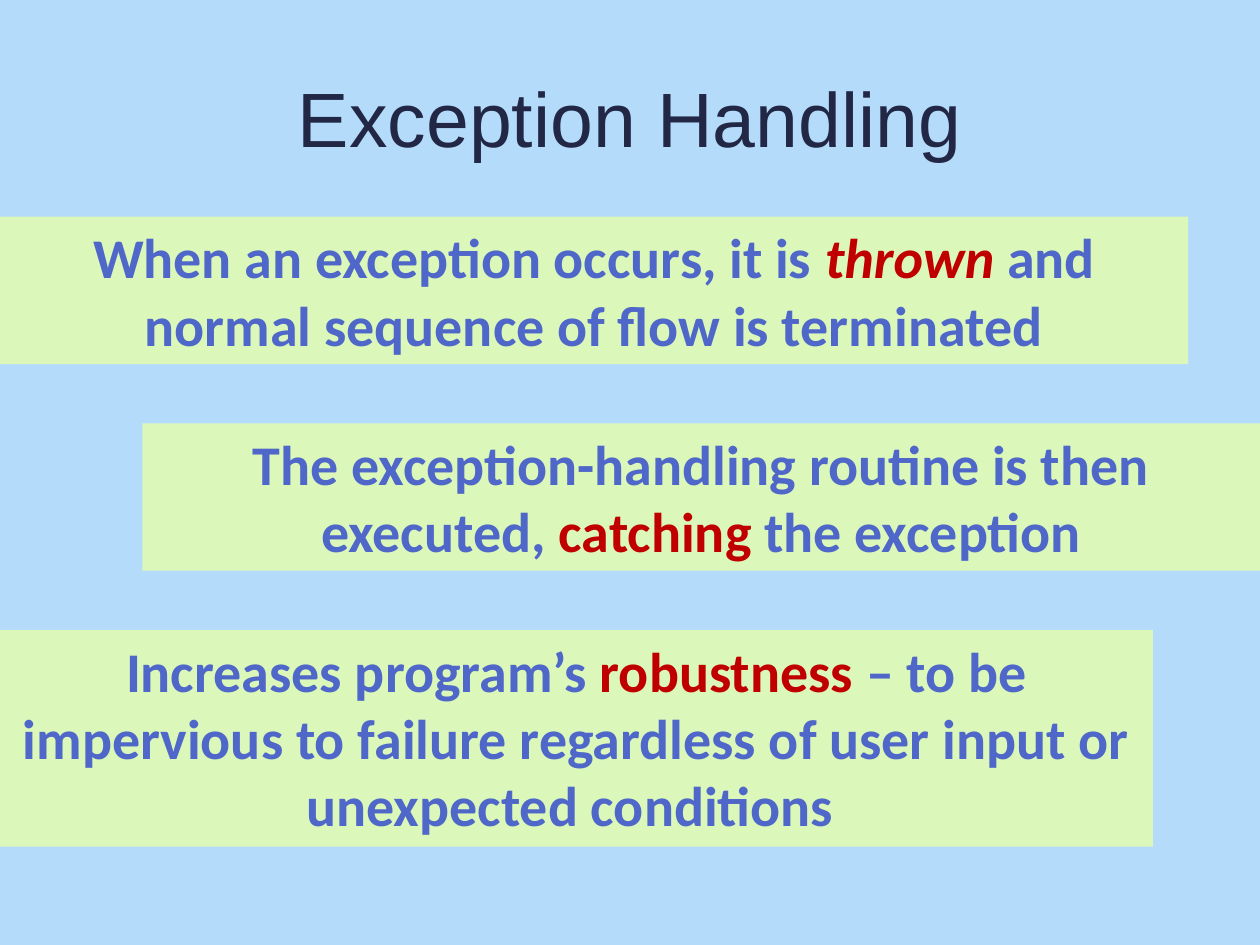
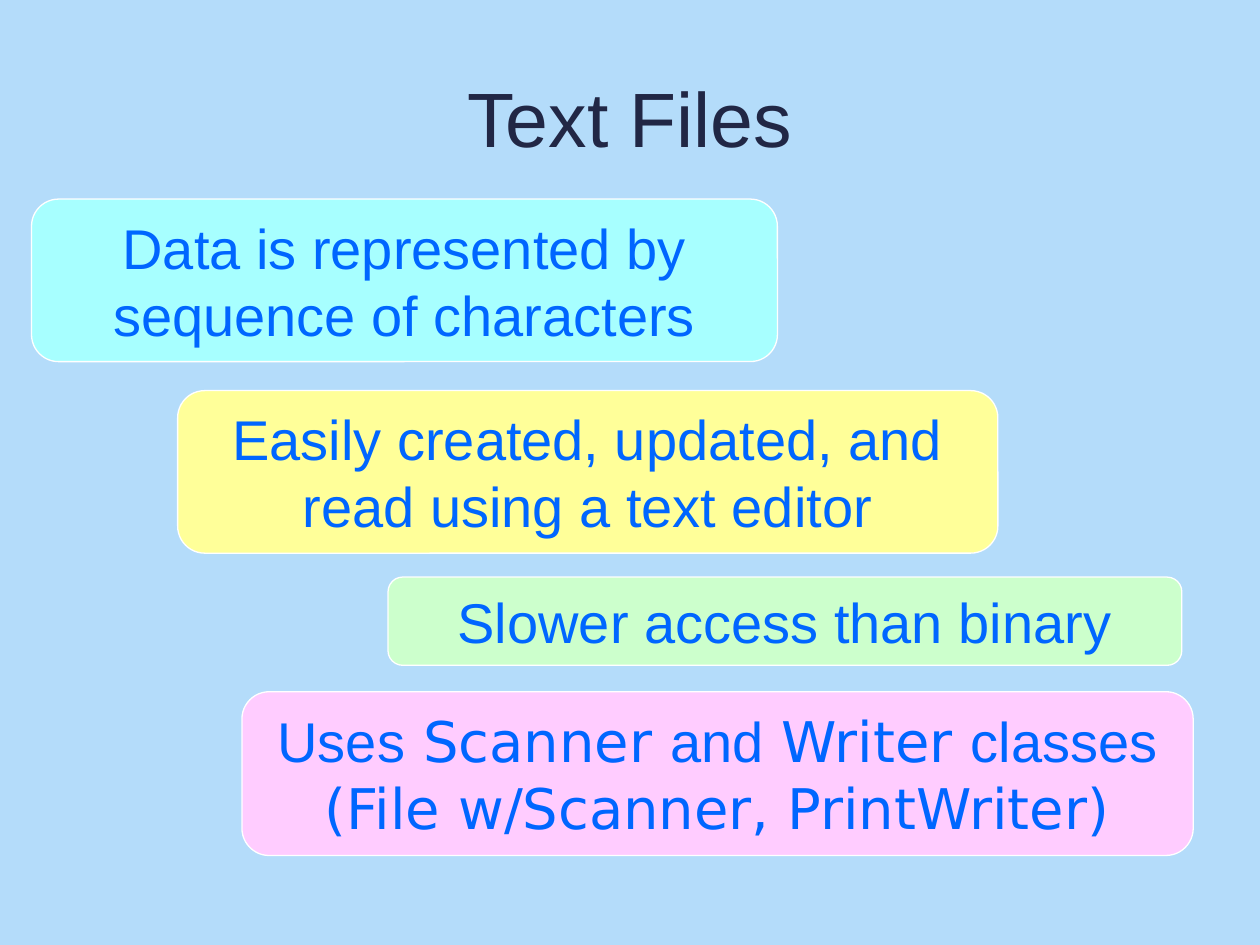
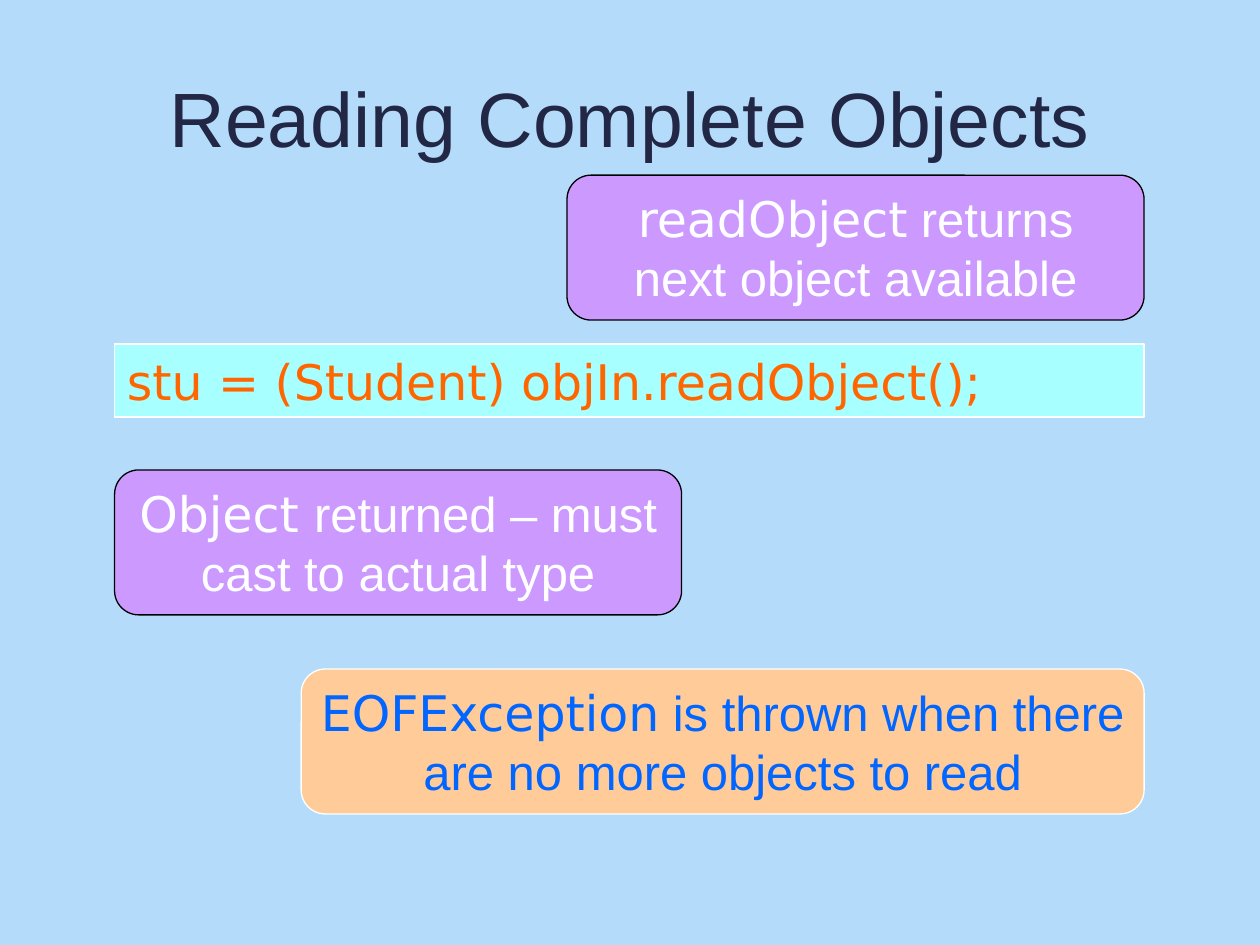
from dataclasses import dataclass

from pptx import Presentation
from pptx import util as u
from pptx.dml import color
from pptx.enum import shapes, text

COLUMNS, ROWS = 10, 7.5
CELL = u.Inches(1)


@dataclass(frozen=True)
class Theme:
    """Colours, fonts and type sizes of the deck."""
    sky: str = "B4DCFA"
    navy: str = "212745"
    indigo: str = "4E67C8"
    red: str = "C00000"
    blue: str = "0066FF"
    orange: str = "FF6600"
    white: str = "FFFFFF"
    black: str = "000000"
    lime: str = "DCF7BA"
    cyan: str = "A7FFFF"
    yellow: str = "FFFF99"
    mint: str = "CCFFCC"
    pink: str = "FFCCFF"
    violet: str = "CC99FF"
    peach: str = "FFCC99"
    plain: str = "Arial"
    strong: str = "Calibri"
    code: str = "DejaVu Sans"
    title_size: int = 44
    large: int = 32
    medium: int = 28
    outline: float = 0.75


THEME = Theme()


@dataclass(frozen=True)
class Style:
    """Look of one span of text."""
    font: str
    ink: str
    bold: bool = False
    italic: bool = False


BODY = Style(THEME.strong, THEME.indigo, bold=True)
KEY = Style(THEME.strong, THEME.red, bold=True)
KEY_ITALIC = Style(THEME.strong, THEME.red, bold=True, italic=True)
NOTE = Style(THEME.plain, THEME.blue)
NOTE_CODE = Style(THEME.code, THEME.blue)
CALLOUT = Style(THEME.plain, THEME.white)
CALLOUT_CODE = Style(THEME.code, THEME.white)
STATEMENT = Style(THEME.code, THEME.orange)


def rgb(value):
    """Turn a hex string into a colour."""
    return color.RGBColor.from_string(value)


def place(box, left, top, width, height):
    """Put a box on the grid."""
    box.left, box.top = int(left * CELL), int(top * CELL)
    box.width, box.height = int(width * CELL), int(height * CELL)


def style_span(span, style, size):
    """Format one run."""
    font = span.font
    font.name, font.size = style.font, u.Pt(size)
    font.bold, font.italic = style.bold, style.italic
    font.color.rgb = rgb(style.ink)


def add_page(deck, title):
    """Add a page with its title."""
    page = deck.slides.add_slide(deck.slide_layouts[5])
    box = page.shapes.title
    place(box, 0.5, 0.3, COLUMNS - 1, 1.25)
    box.text_frame.text = title
    box.text_frame.vertical_anchor = text.MSO_ANCHOR.MIDDLE
    para = box.text_frame.paragraphs[0]
    para.alignment = text.PP_ALIGN.CENTER
    style_span(para.runs[0], Style(THEME.plain, THEME.navy), THEME.title_size)
    return page


def add_box(page, kind, area, fill, spans, size, line=None,
            align=text.PP_ALIGN.CENTER, anchor=text.MSO_ANCHOR.MIDDLE):
    """Add a filled shape holding one paragraph of styled spans."""
    box = page.shapes.add_shape(kind, 0, 0, CELL, CELL)
    place(box, *area)
    box.shadow.inherit = False
    box.fill.solid()
    box.fill.fore_color.rgb = rgb(fill)
    if line:
        box.line.color.rgb = rgb(line)
        box.line.width = u.Pt(THEME.outline)
    else:
        box.line.fill.background()
    frame = box.text_frame
    frame.word_wrap = True
    frame.auto_size = text.MSO_AUTO_SIZE.SHAPE_TO_FIT_TEXT
    frame.vertical_anchor = anchor
    para = frame.paragraphs[0]
    para.alignment = align
    for words, style in spans:
        span = para.add_run()
        span.text = words
        style_span(span, style, size)


def add_band(page, left, top, right, height, spans):
    """Add a lime band reaching a page edge."""
    add_box(page, shapes.MSO_SHAPE.RECTANGLE, (left, top, right - left, height),
            THEME.lime, spans, THEME.large, anchor=text.MSO_ANCHOR.TOP)


def add_card(page, area, fill, spans, size, line=THEME.white):
    """Add a rounded card."""
    add_box(page, shapes.MSO_SHAPE.ROUNDED_RECTANGLE, area, fill, spans, size, line)


def exception_page(deck):
    """Build the page on throwing and catching."""
    page = add_page(deck, "Exception Handling")
    first, step = 1.72, 1.64
    bands = [
        (0, 9.43, 1.17, [("When an exception occurs, it is ", BODY), ("thrown ", KEY_ITALIC),
                         ("and normal sequence of flow is terminated", BODY)]),
        (1.13, COLUMNS, 1.17, [("The exception-handling routine is then executed, ", BODY),
                               ("catching", KEY), (" the exception", BODY)]),
        (0, 9.15, 1.72, [("Increases program’s ", BODY), ("robustness", KEY),
                         (" – to be impervious to failure regardless of user input"
                          " or unexpected conditions ", BODY)]),
    ]
    for index, (left, right, height, spans) in enumerate(bands):
        add_band(page, left, first + index * step, right, height, spans)


def text_files_page(deck):
    """Build the page on text files."""
    page = add_page(deck, "Text Files")
    cards = [
        ((0.25, 1.58, 5.92, 1.29), THEME.cyan,
         [("Data is represented by sequence of characters", NOTE)]),
        ((1.41, 3.1, 6.51, 1.29), THEME.yellow,
         [("Easily created, updated, and read using a text editor", NOTE)]),
        ((3.08, 4.58, 6.3, 0.7), THEME.mint, [("Slower access than binary", NOTE)]),
        ((1.92, 5.49, 7.55, 1.3), THEME.pink,
         [("Uses", NOTE), (" Scanner ", NOTE_CODE), ("and", NOTE), (" Writer ", NOTE_CODE),
          ("classes", NOTE), (" (File w/Scanner, PrintWriter)", NOTE_CODE)]),
    ]
    for area, fill, spans in cards:
        add_card(page, area, fill, spans, THEME.large)


def objects_page(deck):
    """Build the page on reading objects."""
    page = add_page(deck, "Reading Complete Objects")
    left, right, height = 0.91, 9.08, 1.15
    add_box(page, shapes.MSO_SHAPE.RECTANGLE, (left, 2.73, right - left, 0.58), THEME.cyan,
            [("stu = (Student) objIn.readObject();", STATEMENT)], THEME.medium,
            THEME.white, align=text.PP_ALIGN.LEFT)
    cards = [
        (4.5, 1.39, right, THEME.violet, THEME.black,
         [("readObject", CALLOUT_CODE), (" returns next object available", CALLOUT)]),
        (left, 3.73, 5.41, THEME.violet, THEME.black,
         [("Object ", CALLOUT_CODE), ("returned – must cast to actual type", CALLOUT)]),
        (2.39, 5.31, right, THEME.peach, THEME.white,
         [("EOFException", NOTE_CODE),
          (" is thrown when there are no more objects to read", NOTE)]),
    ]
    for start, top, end, fill, line, spans in cards:
        add_card(page, (start, top, end - start, height), fill, spans, THEME.medium, line)


def main():
    """Build and save the deck."""
    deck = Presentation()
    deck.slide_width, deck.slide_height = int(COLUMNS * CELL), int(ROWS * CELL)
    backdrop = deck.slide_master.background.fill
    backdrop.solid()
    backdrop.fore_color.rgb = rgb(THEME.sky)
    exception_page(deck)
    text_files_page(deck)
    objects_page(deck)
    deck.save("out.pptx")


if __name__ == "__main__":
    main()
